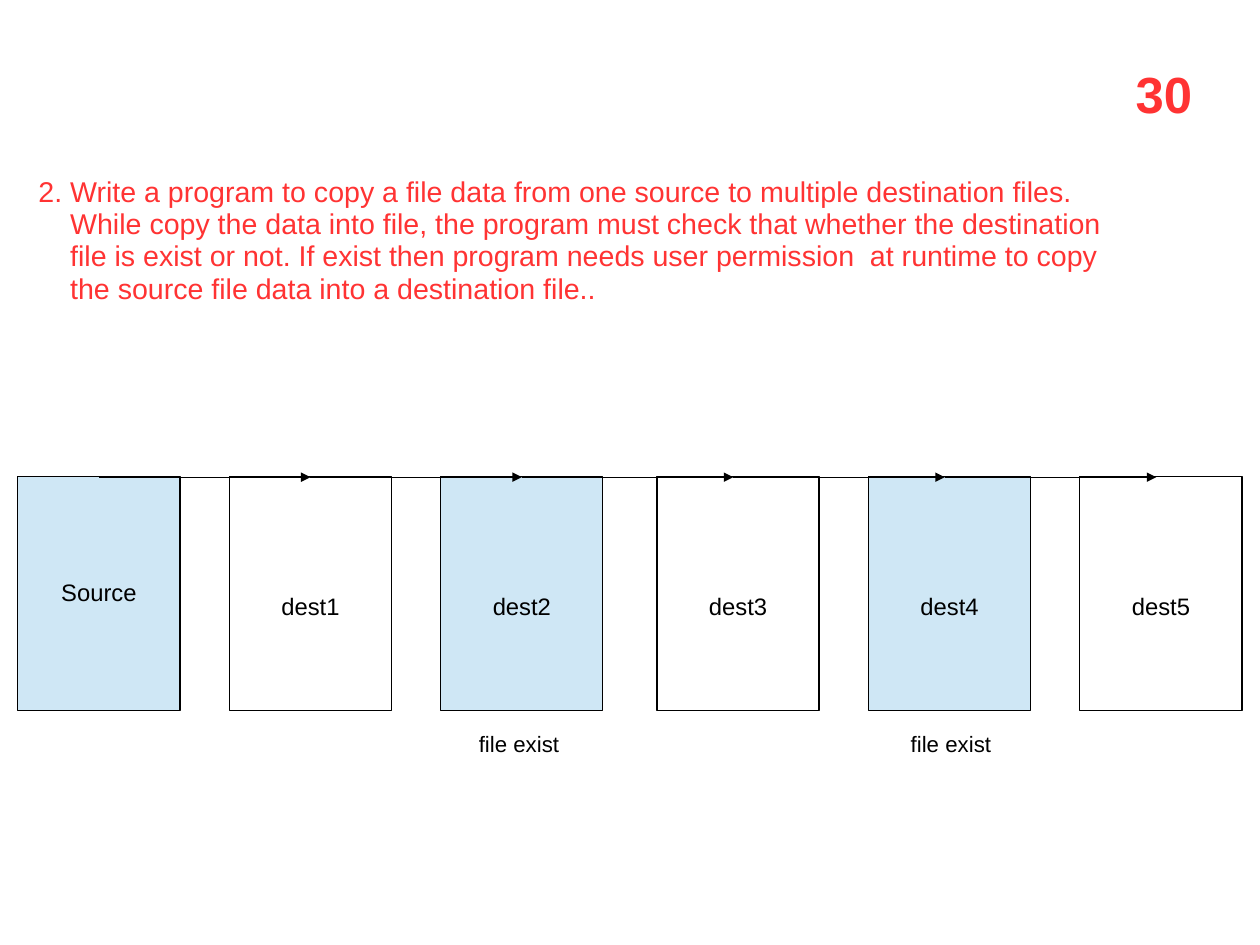
from lxml import etree
from pptx import Presentation
from pptx.dml.color import RGBColor
from pptx.enum import shapes, text
from pptx.oxml import ns
from pptx.util import Pt

# Content
NUMBER = "30"
TASK = [
    "2. Write a program to copy a file data from one source to multiple destination files.",
    "While copy the data into file, the program must check that whether the destination",
    "file is exist or not. If exist then program needs user permission  at runtime to copy",
    "the source file data into a destination file..",
]
FILES = ["Source", "dest1", "dest2", "dest3", "dest4", "dest5"]
EXISTING = "file exist"
EXISTING_LEFTS = [294.5, 566.6]

# Look and layout, in points
SLIDE_WIDTH, SLIDE_HEIGHT = 793.7, 595.28
FONT = "Arial"
RED, BLACK, WHITE, BLUE = "FF3333", "000000", "FFFFFF", "CFE7F5"
LINE_SPACING = 0.94
HANG = 20
BOX_LEFT, BOX_TOP, BOX_WIDTH, BOX_HEIGHT = 11.3, 300.2, 102.1, 147.4
PITCH = 133.2
SECOND_GROUP_SHIFT = 3
DEST_TOP_MARGIN = 20.5
ARROW_Y = 300.6


def color(value):
    return RGBColor.from_string(value)


def write(shape, lines, size, ink, bold=False, align=text.PP_ALIGN.LEFT):
    frame = shape.text_frame
    frame.text = "\n".join(lines)
    frame.word_wrap = False
    for paragraph in frame.paragraphs:
        paragraph.alignment = align
        paragraph.line_spacing = LINE_SPACING
        for run in paragraph.runs:
            run.font.name = FONT
            run.font.size = Pt(size)
            run.font.bold = bold
            run.font.color.rgb = color(ink)
    return frame


def add_text(slide, left, top, width, height, lines, size, ink, bold=False):
    box = slide.shapes.add_textbox(Pt(left), Pt(top), Pt(width), Pt(height))
    return write(box, lines, size, ink, bold)


def add_file(slide, index, name):
    left = BOX_LEFT + index * PITCH + (SECOND_GROUP_SHIFT if index > 2 else 0)
    shape = slide.shapes.add_shape(shapes.MSO_SHAPE.RECTANGLE, Pt(left), Pt(BOX_TOP),
                                   Pt(BOX_WIDTH), Pt(BOX_HEIGHT))
    shape.shadow.inherit = False
    shape.fill.solid()
    shape.fill.fore_color.rgb = color(WHITE if index % 2 else BLUE)
    shape.line.color.rgb = color(BLACK)
    shape.line.width = Pt(0.75)
    frame = write(shape, [name], 15, BLACK, align=text.PP_ALIGN.CENTER)
    frame.vertical_anchor = text.MSO_ANCHOR.MIDDLE
    if index:
        frame.margin_top = Pt(DEST_TOP_MARGIN)


def add_arrow(slide, index):
    start = BOX_LEFT + BOX_WIDTH / 2 + index * PITCH
    arrow = slide.shapes.add_connector(shapes.MSO_CONNECTOR.STRAIGHT, Pt(start), Pt(ARROW_Y),
                                       Pt(start + PITCH), Pt(ARROW_Y))
    arrow.line.color.rgb = color(BLACK)
    arrow.line.width = Pt(0.75)
    etree.SubElement(arrow.line._get_or_add_ln(), ns.qn("a:tailEnd"), type="triangle")
    etree.SubElement(arrow._element.spPr, ns.qn("a:effectLst"))


def main():
    presentation = Presentation()
    presentation.slide_width, presentation.slide_height = Pt(SLIDE_WIDTH), Pt(SLIDE_HEIGHT)
    slide = presentation.slides.add_slide(presentation.slide_layouts[6])

    # Task, with later lines aligned after the number
    frame = add_text(slide, 17.1, 107.8, 720.7, 89.3, TASK, 18, RED)
    frame.word_wrap = True
    for paragraph in frame.paragraphs:
        paragraph._p.get_or_add_pPr().set("marL", str(Pt(HANG)))
    frame.paragraphs[0]._p.get_or_add_pPr().set("indent", str(-Pt(HANG)))

    # Files and the arrows between them
    for index, name in enumerate(FILES):
        add_file(slide, index, name)
    for index in range(len(FILES) - 1):
        add_arrow(slide, index)

    # Labels and number
    for left in EXISTING_LEFTS:
        add_text(slide, left, 457.6, 65.5, 23.8, [EXISTING], 14, BLACK)
    add_text(slide, 708.2, 39.3, 51, 45.4, [NUMBER], 32, RED, bold=True)

    presentation.save("out.pptx")


if __name__ == "__main__":
    main()
